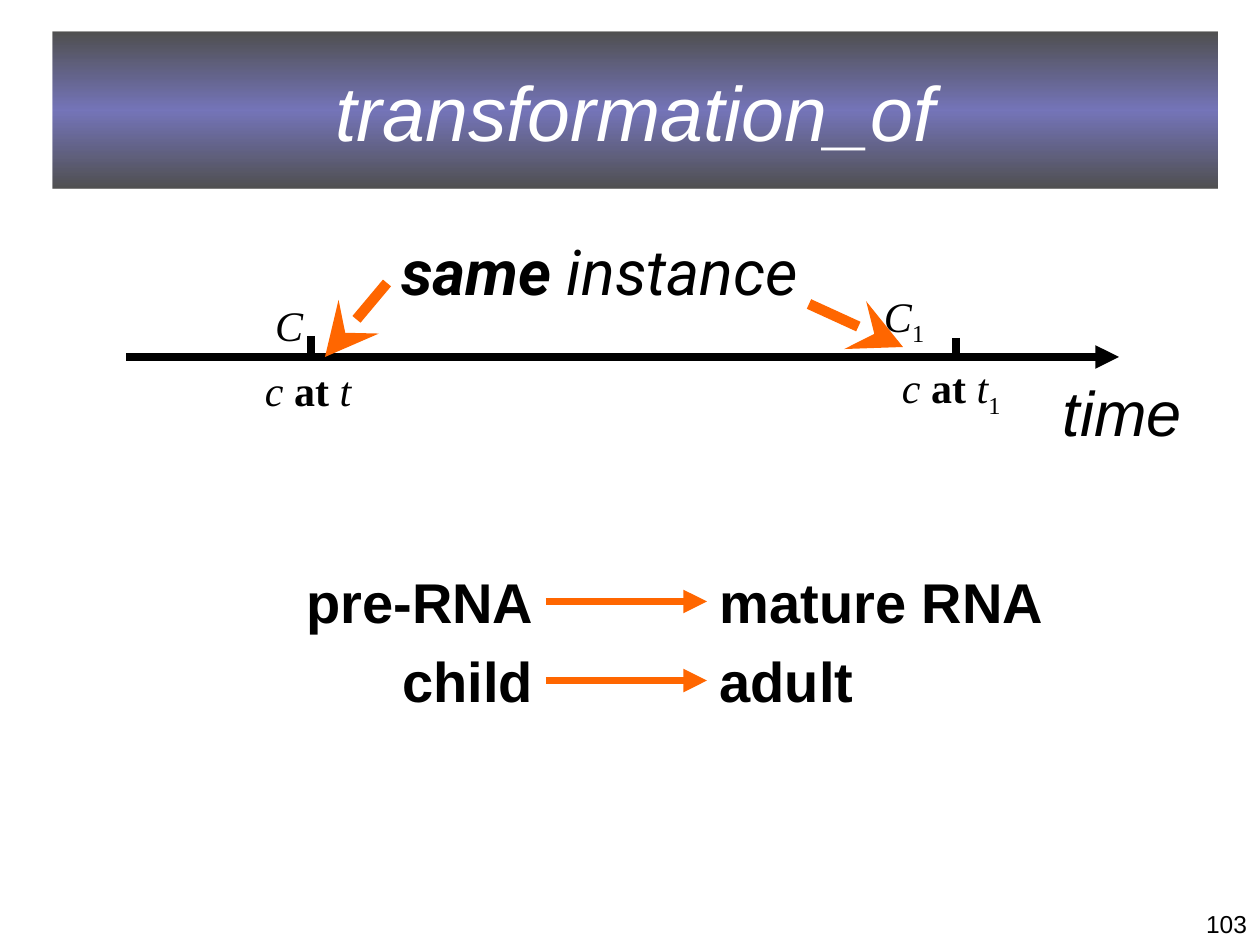
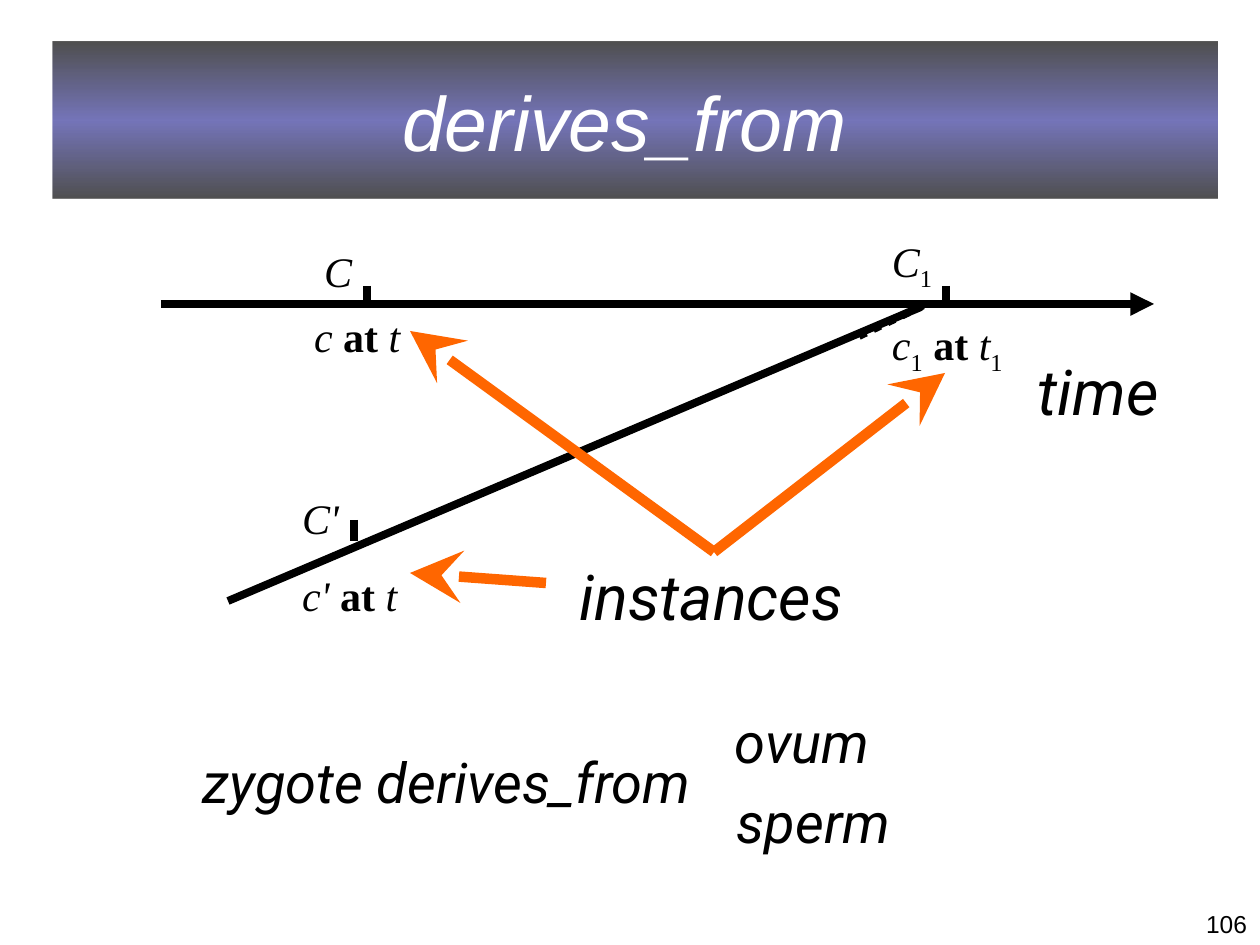
"""Build two slides on the transformation_of and derives_from relations."""
import dataclasses

import pptx
import pptx.dml.color
import pptx.enum.dml
import pptx.enum.shapes
import pptx.enum.text
import pptx.oxml
import pptx.oxml.ns
import pptx.util


@dataclasses.dataclass(frozen=True)
class Theme:
    ink: str = "000000"
    accent: str = "FF6600"
    title_ink: str = "FFFFFF"
    band_stops: tuple = ((0, "000000", 68), (50, "333399", 67), (100, "000000", 68))
    sans: str = "Arial"
    display: str = "Roboto"
    serif: str = "Times New Roman"
    title_size: int = 44
    large_size: int = 36
    example_size: int = 32
    label_size: int = 24
    number_size: int = 14
    axis_width: float = 4.5
    pointer_width: float = 6


THEME = Theme()
PX = pptx.util.Inches(1) / 126
LEFT, CENTER, RIGHT = (
    pptx.enum.text.PP_ALIGN.LEFT,
    pptx.enum.text.PP_ALIGN.CENTER,
    pptx.enum.text.PP_ALIGN.RIGHT,
)


def write_text(page, place, paragraphs, font, size, align=LEFT, wrap=True,
               inset=(13, 6), gap=0, indent=0):
    box = page.shapes.add_textbox(*(round(length * PX) for length in place))
    frame = box.text_frame
    frame.word_wrap = wrap
    frame.margin_left = frame.margin_right = round(inset[0] * PX)
    frame.margin_top = frame.margin_bottom = round(inset[1] * PX)
    for index, pieces in enumerate(paragraphs):
        para = frame.add_paragraph() if index else frame.paragraphs[0]
        para.alignment = align
        para.space_after = pptx.util.Pt(gap)
        if indent and index == 0:
            para._p.get_or_add_pPr().set("marL", str(round(indent * PX)))
        for words, style in pieces:
            span = para.add_run()
            span.text = words
            span.font.name = font
            span.font.size = pptx.util.Pt(size)
            span.font.color.rgb = pptx.dml.color.RGBColor.from_string(THEME.ink)
            span.font.bold = "b" in style
            span.font.italic = "i" in style
            if "s" in style:
                span._r.get_or_add_rPr().set("baseline", "-25000")
    return box


def draw_line(page, points, color=THEME.ink, width=THEME.axis_width, head=None, head_size="med"):
    line = page.shapes.add_connector(
        pptx.enum.shapes.MSO_CONNECTOR.STRAIGHT, *(round(length * PX) for length in points))
    line.line.color.rgb = pptx.dml.color.RGBColor.from_string(color)
    line.line.width = pptx.util.Pt(width)
    space = pptx.oxml.ns.nsdecls("a")
    if head:
        line.line._get_or_add_ln().append(pptx.oxml.parse_xml(
            f'<a:tailEnd {space} type="{head}" w="{head_size}" len="{head_size}"/>'))
    line._element.spPr.append(pptx.oxml.parse_xml(f"<a:effectLst {space}/>"))
    return line


deck = pptx.Presentation()
deck.slide_width = round(1260 * PX)
deck.slide_height = round(945 * PX)

pages = []
for title_text, band_top, number in (("transformation_of", 32, "103"), ("derives_from ", 42, "106")):
    page = deck.slides.add_slide(deck.slide_layouts[5])
    title = page.shapes.title
    title.left, title.top, title.width, title.height = (
        round(length * PX) for length in (53, band_top, 1165, 157))
    stops = "".join(
        f'<a:gs pos="{position * 1000}"><a:srgbClr val="{color}">'
        f'<a:alpha val="{alpha * 1000}"/></a:srgbClr></a:gs>'
        for position, color, alpha in THEME.band_stops)
    title._element.spPr.append(pptx.oxml.parse_xml(
        f'<a:gradFill {pptx.oxml.ns.nsdecls("a")} rotWithShape="1"><a:gsLst>{stops}</a:gsLst>'
        '<a:lin ang="5400000" scaled="1"/></a:gradFill>'))
    title.text_frame.text = title_text
    title.text_frame.auto_size = pptx.enum.text.MSO_AUTO_SIZE.NONE
    title.text_frame.vertical_anchor = pptx.enum.text.MSO_ANCHOR.MIDDLE
    para = title.text_frame.paragraphs[0]
    para.alignment = CENTER
    span = para.runs[0]
    span.font.name = THEME.sans
    span.font.size = pptx.util.Pt(THEME.title_size)
    span.font.italic = True
    span.font.color.rgb = pptx.dml.color.RGBColor.from_string(THEME.title_ink)
    write_text(page, (1040, 903, 220, 42), [[(number, "")]], THEME.sans, THEME.number_size, RIGHT)
    pages.append(page)

transformation, derivation = pages
subscript = ("1", "s")
universal = [("C", "i")]
instance_at_t = [("c ", "i"), ("at ", "b"), ("t", "i")]
label = dict(font=THEME.serif, size=THEME.label_size)
tight = dict(label, inset=(10, 5))
pointer = dict(color=THEME.accent, width=THEME.pointer_width, head="stealth", head_size="lg")

for page, axis, ticks, first_label in (
    (transformation, (126, 357, 1119, 357), ((311, 336), (956, 338)), (255, 295)),
    (derivation, (161, 304, 1154, 304), ((367, 286), (946, 286), (354, 520)), (304, 241)),
):
    draw_line(page, axis, head="triangle")
    for tick_x, tick_top in ticks:
        draw_line(page, (tick_x, tick_top, tick_x, tick_top + 21))
    write_text(page, (*first_label, 134, 141), [universal, instance_at_t],
               gap=8, indent=10, **tight)

write_text(transformation, (892, 357, 151, 64), [instance_at_t + [subscript]], **tight)
write_text(transformation, (840, 284, 210, 71), [universal + [subscript]], indent=31, **label)
write_text(transformation, (1050, 368, 200, 88), [[("time", "i")]], THEME.sans, THEME.large_size)
write_text(transformation, (388, 227, 483, 88), [[("same ", "bi"), ("instance", "i")]],
           THEME.display, THEME.large_size)
for points in ((809, 304, 903, 347), (387, 283, 325, 357)):
    draw_line(transformation, points, **pointer)

for row, (before, before_width, after, after_width) in enumerate((
    ("pre-RNA", 252, "mature RNA", 349),
    ("child", 156, "adult", 159),
)):
    top = 561 + row * 79
    source, target = (
        write_text(transformation, (left, top, width, 81), [[(words, "b")]],
                   THEME.sans, THEME.example_size, CENTER, inset=(0, 6))
        for words, left, width in ((before, 546 - before_width, before_width),
                                   (after, 707, after_width)))
    arrow = draw_line(transformation, (546, top + 40, 707, top + 40), THEME.accent, head="triangle")
    arrow.begin_connect(source, 3)
    arrow.end_connect(target, 1)

draw_line(derivation, (228, 601, 921, 307))
junction = draw_line(derivation, (859, 336, 924, 305))
junction.line.dash_style = pptx.enum.dml.MSO_LINE.ROUND_DOT
write_text(derivation, (882, 230, 151, 169),
           [universal + [subscript],
            [("c", "i"), subscript, (" at ", "b"), ("t", "i"), subscript]], gap=15, **tight)
write_text(derivation, (289, 487, 210, 140),
           [[("C'", "i")], [("c' ", "i"), ("at ", "b"), ("t", "i")]], gap=15, **label)
for points in ((714, 552, 945, 373), (714, 552, 410, 331), (546, 583, 410, 573)):
    draw_line(derivation, points, **pointer)
for words, place, size, align in (
    ("time", (1025, 347, 149, 88), THEME.large_size, LEFT),
    ("instances", (567, 552, 431, 88), THEME.large_size, LEFT),
    ("zygote derives_from", (187, 741, 520, 81), THEME.example_size, CENTER),
    ("ovum", (722, 702, 164, 81), THEME.example_size, LEFT),
    ("sperm", (723, 781, 181, 81), THEME.example_size, CENTER),
):
    write_text(derivation, place, [[(words, "i")]], THEME.display, size, align, wrap=False)

deck.save("out.pptx")
